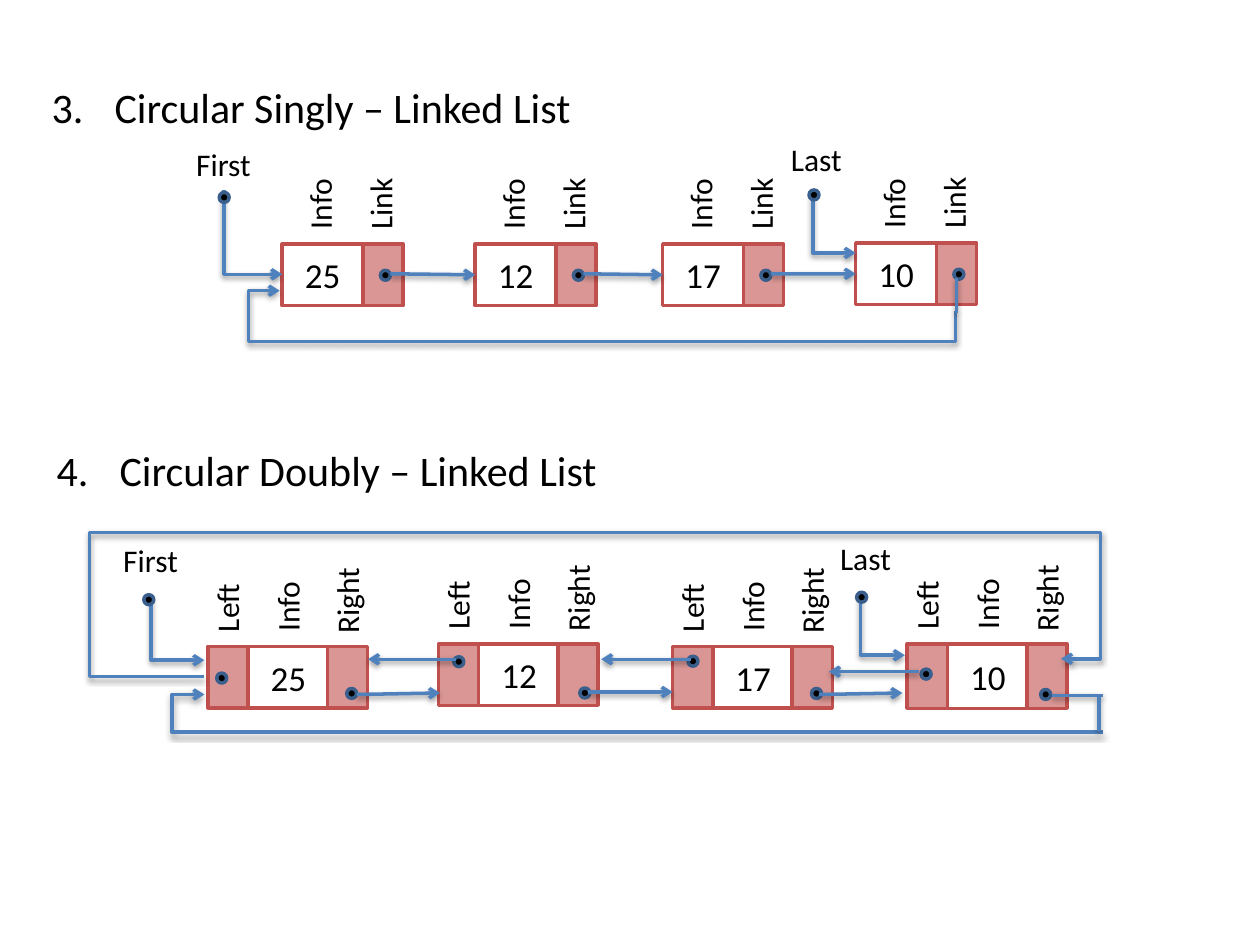
from collections import namedtuple

from pptx import Presentation
from pptx.dml.color import RGBColor
from pptx.enum.shapes import MSO_CONNECTOR as CONN, MSO_SHAPE as SHAPE
from pptx.enum.text import MSO_ANCHOR, MSO_AUTO_SIZE, PP_ALIGN
from pptx.oxml import parse_xml
from pptx.oxml.ns import nsdecls, qn
from pptx.util import Cm, Pt

BLACK = RGBColor(0, 0, 0)
WHITE = RGBColor(255, 255, 255)
PINK = RGBColor(0xD9, 0x96, 0x94)
RED = RGBColor(0xC0, 0x50, 0x4D)
BLUE = RGBColor(0x4F, 0x81, 0xBD)
NAVY = RGBColor(0x3A, 0x5F, 0x8C)

FONT = {"name": "Calibri", "size": Pt(18)}
SHADOW = (
    f'<a:effectLst {nsdecls("a")}><a:outerShdw blurRad="40000" dist="20000" '
    'dir="5400000" rotWithShape="0"><a:srgbClr val="000000">'
    '<a:alpha val="38000"/></a:srgbClr></a:outerShdw></a:effectLst>'
)

# Centimetres; all other positions are relative to a box
Box = namedtuple("Box", "left top")
CELL_H, INFO_W, LINK_W = 1.24, 1.63, 0.81
DOT = 0.2
LABEL_H = 1.02
LABEL_W = {"First": 1.63, "Last": 1.55, "Info": 1.52, "Link": 1.55,
           "Left": 1.5, "Right": 1.85}


def write(p, text, **formats):
    r = p.add_run()
    r.text = text
    for name, value in {**FONT, **formats}.items():
        setattr(r.font, name, value)
    r.font.color.rgb = BLACK


def shape(slide, box, kind, x, y, w, h, fill, line):
    s = slide.shapes.add_shape(kind, Cm(box.left + x), Cm(box.top + y), Cm(w), Cm(h))
    s.shadow.inherit = False
    s.fill.solid()
    s.fill.fore_color.rgb = fill
    s.line.color.rgb = line
    s.line.width = Pt(2)
    return s


def cell(slide, box, x, w, h, value=None):
    s = shape(slide, box, SHAPE.RECTANGLE, x, 0, w, h, WHITE if value else PINK, RED)
    if value:
        tf = s.text_frame
        tf.vertical_anchor = MSO_ANCHOR.MIDDLE
        tf.paragraphs[0].alignment = PP_ALIGN.CENTER
        write(tf.paragraphs[0], value, size=Pt(20))
    return s


def dot(slide, box, x, y):
    shape(slide, box, SHAPE.OVAL, x - DOT / 2, y - DOT / 2, DOT, DOT, BLACK, NAVY)


def label(slide, box, text, x, y, rotation=0):
    """Text centred on x, y."""
    w = LABEL_W[text]
    s = slide.shapes.add_textbox(Cm(box.left + x - w / 2), Cm(box.top + y - LABEL_H / 2),
                                 Cm(w), Cm(LABEL_H))
    s.rotation = rotation
    s.text_frame.word_wrap = False
    s.text_frame.auto_size = MSO_AUTO_SIZE.SHAPE_TO_FIT_TEXT
    write(s.text_frame.paragraphs[0], text)


def heading(slide, box, number, text, width):
    s = slide.shapes.add_textbox(Cm(box.left), Cm(box.top), Cm(width), Cm(1.28))
    tf = s.text_frame
    tf.word_wrap = True
    tf.auto_size = MSO_AUTO_SIZE.SHAPE_TO_FIT_TEXT
    p = tf.paragraphs[0]
    pPr = p._p.get_or_add_pPr()
    pPr.set("marL", str(Cm(1.27)))
    pPr.set("indent", str(-Cm(1.27)))
    pPr.append(parse_xml(f'<a:buAutoNum {nsdecls("a")} type="arabicPeriod" '
                         f'startAt="{number}"/>'))
    write(p, text, size=Pt(24))


def line(slide, box, start, end, kind=CONN.STRAIGHT, arrow=True):
    s = slide.shapes.add_connector(
        kind, Cm(box.left + start[0]), Cm(box.top + start[1]),
        Cm(box.left + end[0]), Cm(box.top + end[1]))
    s.line.color.rgb = BLUE
    s.line.width = Pt(2)
    spPr = s._element.spPr
    if arrow:
        spPr.find(qn("a:ln")).append(
            parse_xml(f'<a:tailEnd {nsdecls("a")} type="arrow"/>'))
    spPr.append(parse_xml(SHADOW))
    return s


def bent(slide, box, start, end, stops=(), vertical=False):
    """Elbow arrow; stops are the coordinates of its turns, axes alternating."""
    dx, dy = end[0] - start[0], end[1] - start[1]
    w, h = (abs(dy), abs(dx)) if vertical else (abs(dx), abs(dy))
    cx, cy = (start[0] + end[0]) / 2, (start[1] + end[1]) / 2
    s = line(slide, box, (cx - w / 2, cy - h / 2), (cx + w / 2, cy + h / 2), CONN.ELBOW)

    turn = (270 if dy > 0 else 90) if vertical else 180
    xfrm = s._element.spPr.find(qn("a:xfrm"))
    xfrm.set("rot", str(turn * 60000))
    if vertical or dx > 0:
        xfrm.set("flipH", "1")

    guides = ""
    for i, stop in enumerate(stops):
        axis = (i + vertical) % 2
        ratio = (stop - start[axis]) / (end[axis] - start[axis])
        guides += f'<a:gd name="adj{i + 1}" fmla="val {round(ratio * 100000)}"/>'
    geom = s._element.spPr.find(qn("a:prstGeom"))
    geom.set("prst", f"bentConnector{len(stops) + 2}")
    for child in list(geom):
        geom.remove(child)
    geom.append(parse_xml(f'<a:avLst {nsdecls("a")}>{guides}</a:avLst>'))


def pointer(slide, box, text, text_at, start, end, dot_at):
    label(slide, box, text, *text_at)
    bent(slide, box, start, end, vertical=True)
    dot(slide, box, *dot_at)


def single_node(slide, box, value):
    info = cell(slide, box, 0, INFO_W, CELL_H, value)
    cell(slide, box, INFO_W, LINK_W, CELL_H)
    dot(slide, box, 2.08, 0.63)
    label(slide, box, "Info", 0.75, -0.81, 270)
    label(slide, box, "Link", 1.97, -0.81, 270)
    return info


def double_node(slide, box, value, h, left_dot, right_dot):
    cell(slide, box, 0, LINK_W, h)
    cell(slide, box, LINK_W, INFO_W, h, value)
    cell(slide, box, 2.41, LINK_W, h)
    dot(slide, box, *left_dot)
    dot(slide, box, *right_dot)
    for text, x, y in (("Left", 0.38, -0.79), ("Info", 1.6, -0.81), ("Right", 2.8, -0.93)):
        label(slide, box, text, x, y, 270)


def singly_list(slide, box):
    heading(slide, box, 3, "Circular Singly – Linked List", 21)
    # Nodes, each joined to the one before
    previous = None
    for x, y, value in ((4.9, 3.4, "25"), (8.79, 3.4, "12"),
                        (12.57, 3.4, "17"), (16.46, 3.38, "10")):
        info = single_node(slide, Box(box.left + x, box.top + y), value)
        if previous:
            s = line(slide, box, (previous + 2.18, 4), (x, 4))
            s.end_connect(info, 1)
        previous = x
    # Entry pointers
    pointer(slide, box, "First", (3.73, 1.78), (3.73, 2.31), (4.9, 4.01), (3.73, 2.46))
    pointer(slide, box, "Last", (15.68, 1.68), (15.6, 2.41), (16.46, 3.58), (15.62, 2.41))
    # Way back from last to first
    bent(slide, box, (18.47, 4.75), (4.85, 4.34), (5.37, 4.22), vertical=True)
    line(slide, box, (18.49, 4.78), (18.49, 4.09), arrow=False)


def doubly_list(slide, box):
    heading(slide, box, 4, "Circular Doubly – Linked List", 11.5)
    # Nodes
    for x, y, value, h, left_dot, right_dot in (
            (3.3, 4.19, "25", CELL_H, (0.28, 0.64), (2.9, 0.95)),
            (7.95, 4.14, "12", CELL_H, (0.41, 0.36), (2.95, 0.99)),
            (12.67, 4.19, "17", CELL_H, (0.41, 0.3), (2.9, 0.95)),
            (17.4, 4.14, "10", 1.3, (0.38, 0.61), (2.79, 1.02))):
        double_node(slide, Box(box.left + x, box.top + y), value, h, left_dot, right_dot)
    # Links to the left, then to the right
    for x1, y1, x2, y2 in ((8.31, 4.45, 6.53, 4.45), (13.03, 4.45, 11.23, 4.45),
                           (17.63, 4.7, 15.82, 4.7), (6.3, 5.16, 7.98, 5.13),
                           (10.97, 5.11, 12.67, 5.11), (15.62, 5.16, 17.3, 5.13)):
        line(slide, box, (x1, y1), (x2, y2))
    # Entry pointers
    pointer(slide, box, "First", (2.16, 2.46), (2.16, 3.18), (3.23, 4.47), (2.11, 3.25))
    pointer(slide, box, "Last", (16.57, 2.41), (16.46, 3.2), (17.35, 4.37), (16.48, 3.2))
    # Loops below and above
    bent(slide, box, (21.34, 5.92), (3.23, 5.16), (2.57,))
    line(slide, box, (21.34, 5.18), (20.32, 5.18), arrow=False)
    line(slide, box, (21.26, 5.89), (21.26, 5.21), arrow=False)
    bent(slide, box, (3.23, 4.8), (20.5, 4.44), (0.91, 1.89, 21.29))


def main():
    prs = Presentation()
    prs.slide_width, prs.slide_height = Cm(25.4), Cm(19.05)
    slide = prs.slides.add_slide(prs.slide_layouts[6])
    singly_list(slide, Box(0.79, 1.52))
    doubly_list(slide, Box(0.89, 8.84))
    prs.save("out.pptx")


if __name__ == "__main__":
    main()
